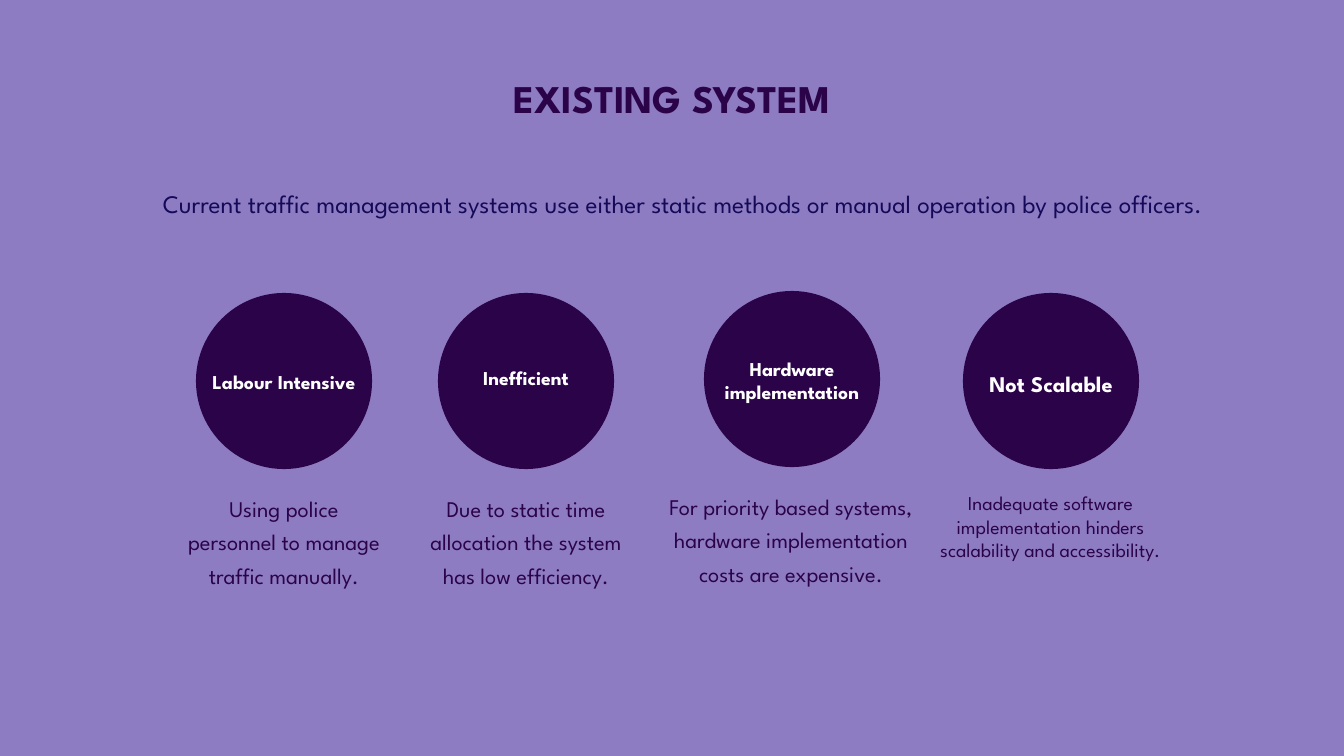
from dataclasses import dataclass

import pptx
import pptx.dml.color
import pptx.enum.shapes
import pptx.enum.text
import pptx.util

PX = 12192000 / 1344
FONT = "League Spartan"
COLORS = {"lavender": "8E7CC3", "plum": "2B0348", "navy": "140A59", "white": "FFFFFF"}
CIRCLE_SIZE = 174
LABEL_WIDTH, LABEL_HEIGHT = 188, 116


@dataclass(frozen=True)
class TextStyle:
    size: int
    color: str = "plum"
    bold: bool = False
    spacing: float = 1.0
    middle: bool = False
    inset_left: int = 10
    inset_top: int = 5


@dataclass(frozen=True)
class Drawback:
    label: str
    label_size: int
    label_drop: int
    circle_left: int
    circle_top: int
    caption: str
    caption_left: int
    caption_top: int
    caption_width: int
    caption_style: TextStyle


def px(value: float) -> pptx.util.Emu:
    return pptx.util.Emu(round(value * PX))


def rgb(name: str) -> pptx.dml.color.RGBColor:
    return pptx.dml.color.RGBColor.from_string(COLORS[name])


def add_text(slide, text: str, left: int, top: int, width: int, height: int,
             style: TextStyle) -> None:
    box = slide.shapes.add_textbox(px(left), px(top), px(width), px(height))
    frame = box.text_frame
    frame.word_wrap = True
    frame.margin_left, frame.margin_right = px(style.inset_left), px(10)
    frame.margin_top = frame.margin_bottom = px(style.inset_top)
    anchors = pptx.enum.text.MSO_ANCHOR
    frame.vertical_anchor = anchors.MIDDLE if style.middle else anchors.TOP
    paragraph = frame.paragraphs[0]
    paragraph.text = text
    paragraph.alignment = pptx.enum.text.PP_ALIGN.CENTER
    paragraph.line_spacing = style.spacing
    paragraph.font.name = FONT
    paragraph.font.size = pptx.util.Pt(style.size)
    paragraph.font.bold = style.bold
    paragraph.font.color.rgb = rgb(style.color)


def add_drawback(slide, item: Drawback) -> None:
    circle = slide.shapes.add_shape(
        pptx.enum.shapes.MSO_SHAPE.OVAL, px(item.circle_left), px(item.circle_top),
        px(CIRCLE_SIZE), px(CIRCLE_SIZE))
    circle.shadow.inherit = False
    circle.fill.solid()
    circle.fill.fore_color.rgb = rgb("plum")
    circle.line.color.rgb = rgb("plum")
    circle.line.width = pptx.util.Pt(1.5)

    label_left = item.circle_left - (LABEL_WIDTH - CIRCLE_SIZE) // 2
    add_text(slide, item.label, label_left, item.circle_top + item.label_drop,
             LABEL_WIDTH, LABEL_HEIGHT,
             TextStyle(item.label_size, "white", bold=True, middle=True))
    add_text(slide, item.caption, item.caption_left, item.caption_top,
             item.caption_width, 127, item.caption_style)


CAPTION = TextStyle(16, spacing=1.25)
SMALL_CAPTION = TextStyle(14, inset_top=10)

DRAWBACKS = [
    Drawback("Labour Intensive", 14, 30, 197, 294,
             "Using police personnel to manage traffic manually.",
             173, 483, 222, CAPTION),
    Drawback("Inefficient", 14, 26, 439, 294,
             "Due to static time allocation the system has low efficiency.",
             412, 483, 228, CAPTION),
    Drawback("Hardware implementation", 14, 30, 705, 292,
             "For priority based systems, hardware implementation costs are expensive.",
             657, 481, 268, CAPTION),
    Drawback("Not Scalable", 16, 32, 964, 294,
             "Inadequate software implementation hinders scalability and accessibility.",
             930, 481, 241, SMALL_CAPTION),
]


def main() -> None:
    presentation = pptx.Presentation()
    presentation.slide_width, presentation.slide_height = px(1344), px(756)
    slide = presentation.slides.add_slide(presentation.slide_layouts[6])
    slide.background.fill.solid()
    slide.background.fill.fore_color.rgb = rgb("lavender")

    # Heading and introduction
    add_text(slide, "EXISTING SYSTEM", 123, 75, 1098, 64,
             TextStyle(28, bold=True, spacing=0.9))
    add_text(slide, "Current traffic management systems use either static methods "
             "or manual operation by police officers.", 85, 168, 1175, 571,
             TextStyle(18, "navy", spacing=1.5, inset_left=31))

    # Circles with labels and captions
    for item in DRAWBACKS:
        add_drawback(slide, item)

    presentation.save("out.pptx")


if __name__ == "__main__":
    main()
